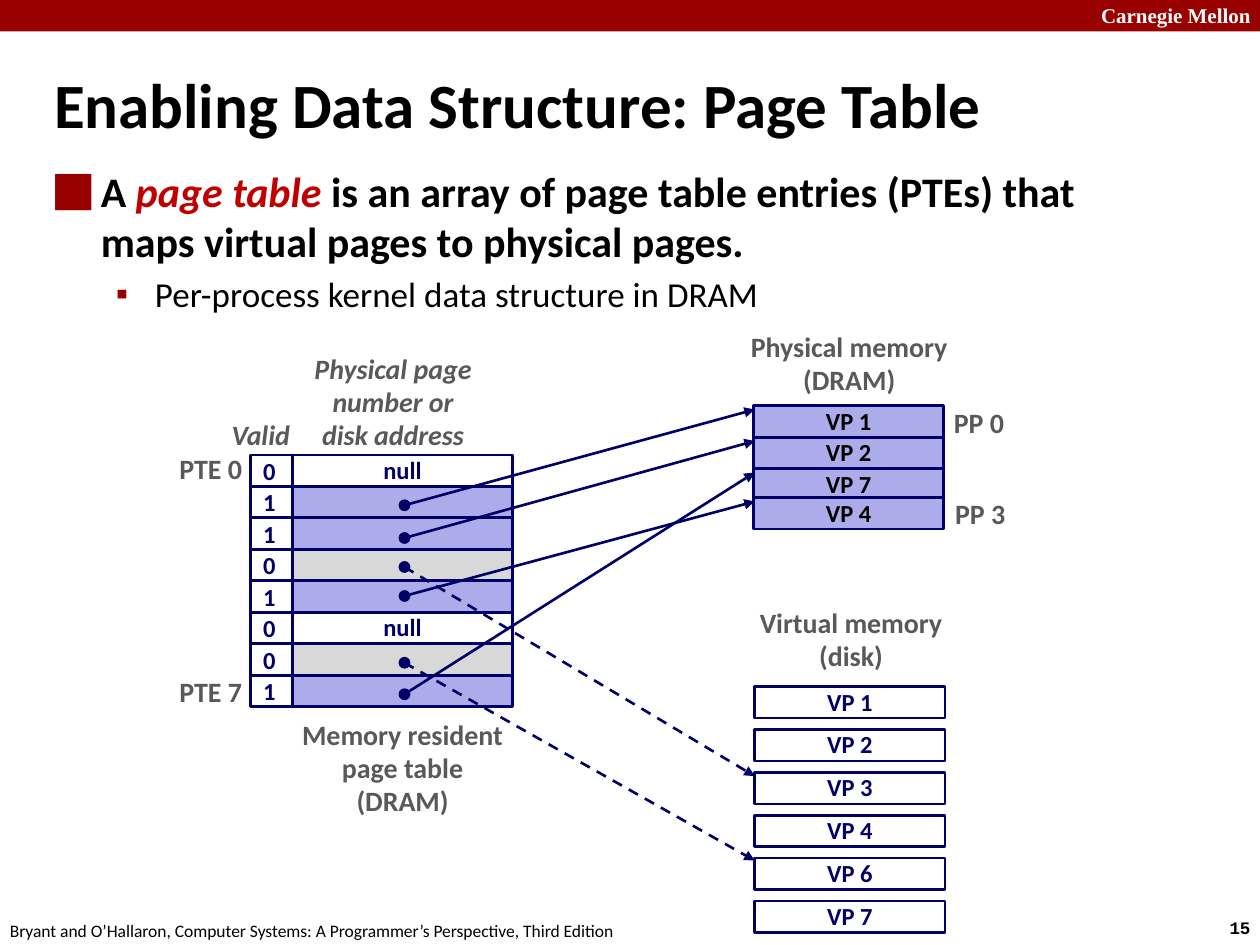
from dataclasses import dataclass
from typing import Optional

import pptx
import pptx.dml.color
import pptx.enum.dml
import pptx.enum.shapes
import pptx.enum.text
import pptx.oxml.ns
import pptx.util
from lxml import etree

Inches = pptx.util.Inches
Pt = pptx.util.Pt
Align = pptx.enum.text.PP_ALIGN
Anchor = pptx.enum.text.MSO_ANCHOR
Shape = pptx.enum.shapes.MSO_SHAPE

CRIMSON, RED, NAVY = "990000", "C00000", "000066"
CACHED, ON_DISK, WHITE, BLACK, GRAY = "ACACEA", "D8D8D8", "FFFFFF", "000000", "595959"
ROW = 0.25
TABLE_TOP, VALID_LEFT, ADDRESS_LEFT = 3.61, 1.99, 2.32
DOT_X, DOT_SIZE = 3.21, 0.08
MEMORY_LEFT, MEMORY_WIDTH = 5.98, 1.51
DISK_TOP, DISK_STEP = 5.45, 0.34


@dataclass
class Entry:
    """A page table entry; a pointer runs from dot_y to target_y."""
    valid: str
    fill: str
    dot_y: Optional[float] = None
    target_y: Optional[float] = None


@dataclass
class Label:
    lines: tuple[str, ...]
    left: float
    top: float
    width: float
    height: float
    align: Align = Align.CENTER
    size: float = 16
    color: str = GRAY
    bold: bool = True
    italic: bool = False
    font: str = "Calibri"
    spacing: float = 0.98
    anchor: Anchor = Anchor.TOP


ENTRIES = [
    Entry("0", WHITE),
    Entry("1", CACHED, 4.01, 3.25),
    Entry("1", CACHED, 4.27, 3.5),
    Entry("0", ON_DISK, 4.5, 6.16),
    Entry("1", CACHED, 4.73, 3.98),
    Entry("0", WHITE),
    Entry("0", ON_DISK, 5.26, 6.83),
    Entry("1", CACHED, 5.51, 3.75),
]
MEMORY_PAGES = [("VP 1", 3.22), ("VP 2", 3.47), ("VP 7", 3.72), ("VP 4", 3.95)]
DISK_PAGES = ["VP 1", "VP 2", "VP 3", "VP 4", "VP 6", "VP 7"]
LABELS = [
    Label(("Memory resident", "page table", "(DRAM)"), 2.27, 5.66, 1.85, 0.89),
    Label(("Physical memory", "(DRAM)"), 5.85, 2.58, 1.78, 0.63),
    Label(("Virtual memory", "(disk)"), 5.91, 4.77, 1.69, 0.63),
    Label(("Valid",), 1.74, 3.28, 0.75, 0.37, Align.LEFT, italic=True),
    Label(("Physical page", "number or", "disk address"), 2.39, 2.75, 1.46, 0.89,
          italic=True, anchor=Anchor.MIDDLE),
    Label(("PTE 0",), 1.32, 3.54, 0.7, 0.37, Align.RIGHT, anchor=Anchor.MIDDLE),
    Label(("PTE 7",), 1.32, 5.31, 0.7, 0.37, Align.RIGHT, anchor=Anchor.MIDDLE),
    Label(("PP 0",), 7.47, 3.18, 0.6, 0.37, anchor=Anchor.MIDDLE),
    Label(("PP 3",), 7.48, 3.9, 0.6, 0.37, anchor=Anchor.MIDDLE),
    Label(("Carnegie Mellon",), 8.64, -0.03, 1.43, 0.3, Align.LEFT, 12, WHITE,
          font="Times New Roman", spacing=1),
    Label(("15",), 9.66, 7.23, 0.45, 0.27, Align.LEFT, 10, BLACK,
          font="Courier New", spacing=1),
    Label(("Bryant and O’Hallaron, Computer Systems: A Programmer’s Perspective, Third Edition",),
          -0.02, 7.25, 5.08, 0.27, Align.LEFT, 10, BLACK, bold=False, spacing=1),
]


def rgb(color: str) -> pptx.dml.color.RGBColor:
    return pptx.dml.color.RGBColor.from_string(color)


def set_font(font, size: float, color: str, bold: bool = True, italic: bool = False,
             name: str = "Calibri") -> None:
    font.name, font.size, font.bold, font.italic = name, Pt(size), bold, italic
    font.color.rgb = rgb(color)


def add_shape(slide, kind: Shape, left: float, top: float, width: float, height: float,
              fill: Optional[str], line: Optional[str] = NAVY, weight: float = 1.5):
    shape = slide.shapes.add_shape(kind, *map(Inches, (left, top, width, height)))
    shape.shadow.inherit = False
    if fill:
        shape.fill.solid()
        shape.fill.fore_color.rgb = rgb(fill)
    else:
        shape.fill.background()
    if line:
        shape.line.color.rgb = rgb(line)
        shape.line.width = Pt(weight)
    else:
        shape.line.fill.background()
    return shape


def add_page(slide, text: str, left: float, top: float, width: float, fill: str,
             color: str = NAVY) -> None:
    """Draw one row-high box with its centred name."""
    page = add_shape(slide, Shape.RECTANGLE, left, top, width, ROW, fill)
    page.text_frame.vertical_anchor = Anchor.MIDDLE
    if text:
        name = page.text_frame.paragraphs[0]
        name.text, name.alignment, name.line_spacing = text, Align.CENTER, 0.98
        set_font(name.font, 14, color)


def add_label(slide, label: Label) -> None:
    box = slide.shapes.add_textbox(
        *map(Inches, (label.left, label.top, label.width, label.height)))
    frame = box.text_frame
    frame.word_wrap, frame.vertical_anchor = False, label.anchor
    frame.text = "\n".join(label.lines)
    for line in frame.paragraphs:
        line.alignment, line.line_spacing = label.align, label.spacing
        set_font(line.font, label.size, label.color, label.bold, label.italic, label.font)


def add_pointer(slide, entry: Entry) -> None:
    arrow = slide.shapes.add_connector(
        pptx.enum.shapes.MSO_CONNECTOR.STRAIGHT,
        *map(Inches, (DOT_X, entry.dot_y, MEMORY_LEFT + 0.01, entry.target_y)))
    arrow.line.color.rgb = rgb(NAVY)
    arrow.line.width = Pt(1.5)
    if entry.fill == ON_DISK:
        arrow.line.dash_style = pptx.enum.dml.MSO_LINE.DASH
    qn = pptx.oxml.ns.qn
    etree.SubElement(arrow.line._get_or_add_ln(), qn("a:tailEnd"), type="triangle")
    etree.SubElement(arrow._element.spPr, qn("a:effectLst"))
    add_shape(slide, Shape.OVAL, DOT_X - DOT_SIZE / 2, entry.dot_y - DOT_SIZE / 2,
              DOT_SIZE, DOT_SIZE, NAVY, weight=1)


def set_indent(paragraph, indent: float, bullet: str = "") -> None:
    """Hang the first line, with a crimson bullet if one is given."""
    qn = pptx.oxml.ns.qn
    properties = paragraph._p.get_or_add_pPr()
    hang = {0.81: 0.31}.get(indent, indent)
    properties.set("marL", str(Inches(indent)))
    properties.set("indent", str(-Inches(hang)))
    if bullet:
        color = etree.SubElement(properties, qn("a:buClr"))
        etree.SubElement(color, qn("a:srgbClr"), val=CRIMSON)
        etree.SubElement(properties, qn("a:buChar"), char=bullet)


def place(placeholder, left: float, top: float, width: float, height: float) -> None:
    placeholder.left, placeholder.top = Inches(left), Inches(top)
    placeholder.width, placeholder.height = Inches(width), Inches(height)
    placeholder.text_frame.auto_size = pptx.enum.text.MSO_AUTO_SIZE.NONE


def write_heading(slide) -> None:
    title, body = slide.shapes.title, slide.placeholders[1]
    place(title, 0.33, 0.39, 9.06, 0.86)
    title.text_frame.vertical_anchor = Anchor.MIDDLE
    heading = title.text_frame.paragraphs[0]
    heading.text, heading.alignment = "Enabling Data Structure: Page Table", Align.LEFT
    set_indent(heading, 0.13)
    set_font(heading.font, 36, BLACK)

    place(body, 0.32, 1.26, 9.09, 1.41)
    definition = body.text_frame.paragraphs[0]
    definition.space_before = Pt(0)
    set_indent(definition, 0.38, "⬛")
    for text, color in (("A ", BLACK), ("page table ", RED),
                        ("is an array of page table entries (PTEs) that maps "
                         "virtual pages to physical pages.", BLACK)):
        run = definition.add_run()
        run.text = text
        set_font(run.font, 24, color, italic=color == RED)
    detail = body.text_frame.add_paragraph()
    detail.text, detail.level = "Per-process kernel data structure in DRAM", 1
    detail.space_before = Pt(4)
    set_indent(detail, 0.81, "▪")
    set_font(detail.font, 20, BLACK, bold=False)


def main() -> None:
    deck = pptx.Presentation()
    deck.slide_width, deck.slide_height = Inches(10), Inches(7.5)
    slide = deck.slides.add_slide(deck.slide_layouts[1])
    add_shape(slide, Shape.RECTANGLE, 0, 0, 10, 0.25, CRIMSON, line=None)
    write_heading(slide)
    for row, entry in enumerate(ENTRIES):
        top = TABLE_TOP + row * ROW
        add_page(slide, "" if entry.dot_y else "null", ADDRESS_LEFT, top, 1.75, entry.fill)
        add_shape(slide, Shape.RECTANGLE, VALID_LEFT, top, 0.33, ROW, None)
        add_label(slide, Label((entry.valid,), VALID_LEFT, top - 0.03, 0.31, 0.33,
                               Align.LEFT, 14, NAVY))
    for text, top in MEMORY_PAGES:
        add_page(slide, text, MEMORY_LEFT, top, MEMORY_WIDTH, CACHED, BLACK)
    for row, text in enumerate(DISK_PAGES):
        add_page(slide, text, MEMORY_LEFT + 0.01, DISK_TOP + row * DISK_STEP,
                 MEMORY_WIDTH, WHITE)
    for entry in ENTRIES:
        if entry.dot_y:
            add_pointer(slide, entry)
    for label in LABELS:
        add_label(slide, label)
    deck.save("out.pptx")


if __name__ == "__main__":
    main()
